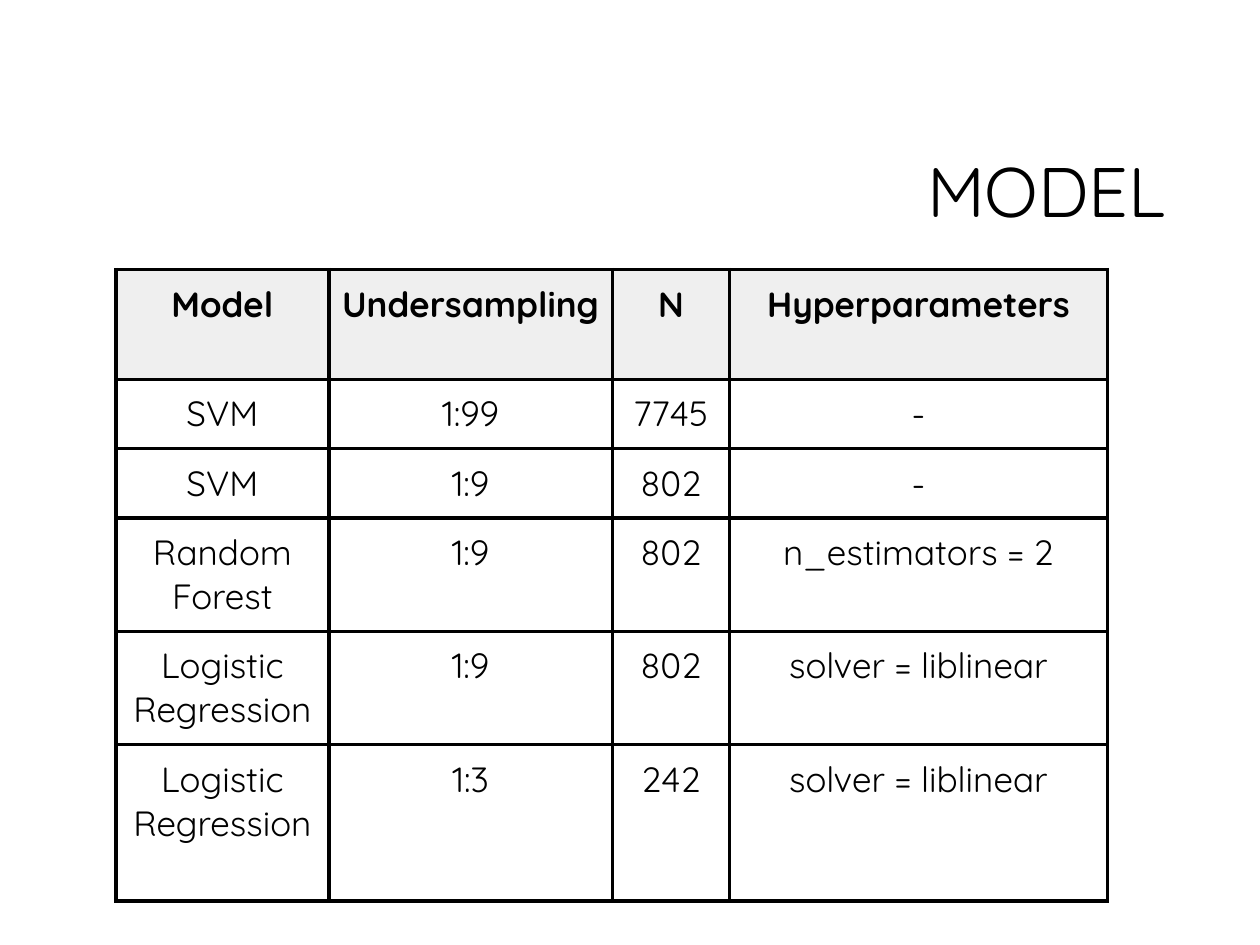
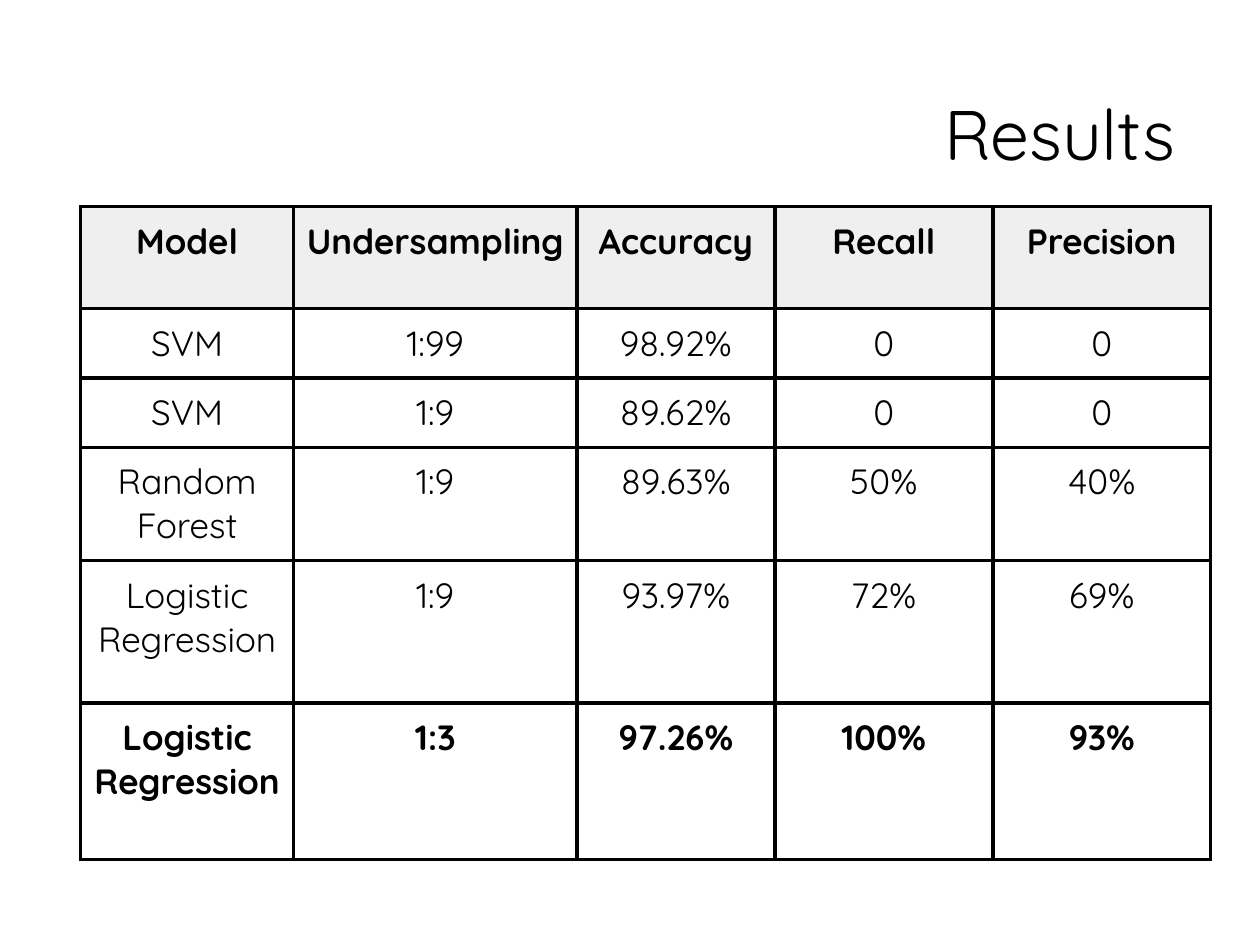
from dataclasses import dataclass

from lxml.etree import SubElement
from pptx import Presentation
from pptx.dml.color import RGBColor
from pptx.enum.text import MSO_ANCHOR, PP_ALIGN
from pptx.oxml.ns import qn
from pptx.util import Inches, Pt


@dataclass(frozen=True)
class Theme:
    font: str = "Quicksand"
    ink: str = "000000"
    paper: str = "FFFFFF"
    header_fill: str = "EFEFEF"
    title_size: float = 40
    cell_size: float = 20
    border_width: float = 2.25
    cell_margin: float = 0.1


THEME = Theme()

MODEL_ROWS = [
    ("Model", "Undersampling", "N", "Hyperparameters"),
    ("SVM", "1:99", "7745", "-"),
    ("SVM", "1:9", "802", "-"),
    ("Random Forest", "1:9", "802", "n_estimators = 2"),
    ("Logistic Regression", "1:9", "802", "solver = liblinear"),
    ("Logistic Regression", "1:3", "242", "solver = liblinear"),
]
RESULT_ROWS = [
    ("Model", "Undersampling", "Accuracy", "Recall", "Precision"),
    ("SVM", "1:99", "98.92%", "0", "0"),
    ("SVM", "1:9", "89.62%", "0", "0"),
    ("Random Forest", "1:9", "89.63%", "50%", "40%"),
    ("Logistic Regression", "1:9", "93.97%", "72%", "69%"),
    ("Logistic Regression", "1:3", "97.26%", "100%", "93%"),
]


def add_page(deck):
    page = deck.slides.add_slide(deck.slide_layouts[6])
    page.background.fill.solid()
    page.background.fill.fore_color.rgb = RGBColor.from_string(THEME.paper)
    return page


def style_paragraph(para, size, alignment, bold=False):
    para.alignment = alignment
    para.font.name = THEME.font
    para.font.size = Pt(size)
    para.font.bold = bold
    para.font.color.rgb = RGBColor.from_string(THEME.ink)


def add_title(page, text, left, top):
    box = page.shapes.add_textbox(Inches(left), Inches(top), Inches(6.97), Inches(1.41))
    frame = box.text_frame
    frame.word_wrap = True
    frame.vertical_anchor = MSO_ANCHOR.MIDDLE
    para = frame.paragraphs[0]
    para.text = text
    para.line_spacing = 0.9
    style_paragraph(para, THEME.title_size, PP_ALIGN.RIGHT)


def add_borders(cell):
    properties = cell._tc.get_or_add_tcPr()
    for side in ("a:lnL", "a:lnR", "a:lnT", "a:lnB"):
        line = SubElement(properties, qn(side), w=str(Pt(THEME.border_width)))
        fill = SubElement(line, qn("a:solidFill"))
        SubElement(fill, qn("a:srgbClr"), val=THEME.ink)


def fill_cell(cell, text, bold, is_header):
    add_borders(cell)
    if is_header:
        cell.fill.solid()
        cell.fill.fore_color.rgb = RGBColor.from_string(THEME.header_fill)
    else:
        cell.fill.background()
    margin = Inches(THEME.cell_margin)
    cell.margin_left = cell.margin_right = margin
    cell.margin_top = cell.margin_bottom = margin
    para = cell.text_frame.paragraphs[0]
    para.text = text
    style_paragraph(para, THEME.cell_size, PP_ALIGN.CENTER, bold)


def add_grid(page, rows, left, top, widths, heights, bold_rows=(0,)):
    grid = page.shapes.add_table(
        len(rows), len(widths), Inches(left), Inches(top),
        Inches(sum(widths)), Inches(sum(heights)),
    ).table
    grid.first_row = grid.horz_banding = False
    for column, width in zip(grid.columns, widths):
        column.width = Inches(width)
    for index, (row, height, texts) in enumerate(zip(grid.rows, heights, rows)):
        row.height = Inches(height)
        for cell, text in zip(row.cells, texts):
            fill_cell(cell, text, index in bold_rows, index == 0)


def main():
    deck = Presentation()
    deck.slide_width, deck.slide_height = Inches(10), Inches(7.5)

    # Model settings
    page = add_page(deck)
    add_title(page, "MODEL", 2.38, 0.84)
    add_grid(page, MODEL_ROWS, 0.92, 2.14,
             widths=(1.69, 2.25, 0.93, 3),
             heights=(0.87, 0.55, 0.55, 0.9, 0.9, 1.24))

    # Scores, with the best model in bold
    page = add_page(deck)
    add_title(page, "Results", 2.46, 0.39)
    add_grid(page, RESULT_ROWS, 0.64, 1.64,
             widths=(1.69, 2.25, 1.57, 1.73, 1.73),
             heights=(0.81, 0.55, 0.55, 0.9, 1.13, 1.24),
             bold_rows=(0, len(RESULT_ROWS) - 1))

    deck.save("out.pptx")


if __name__ == "__main__":
    main()
